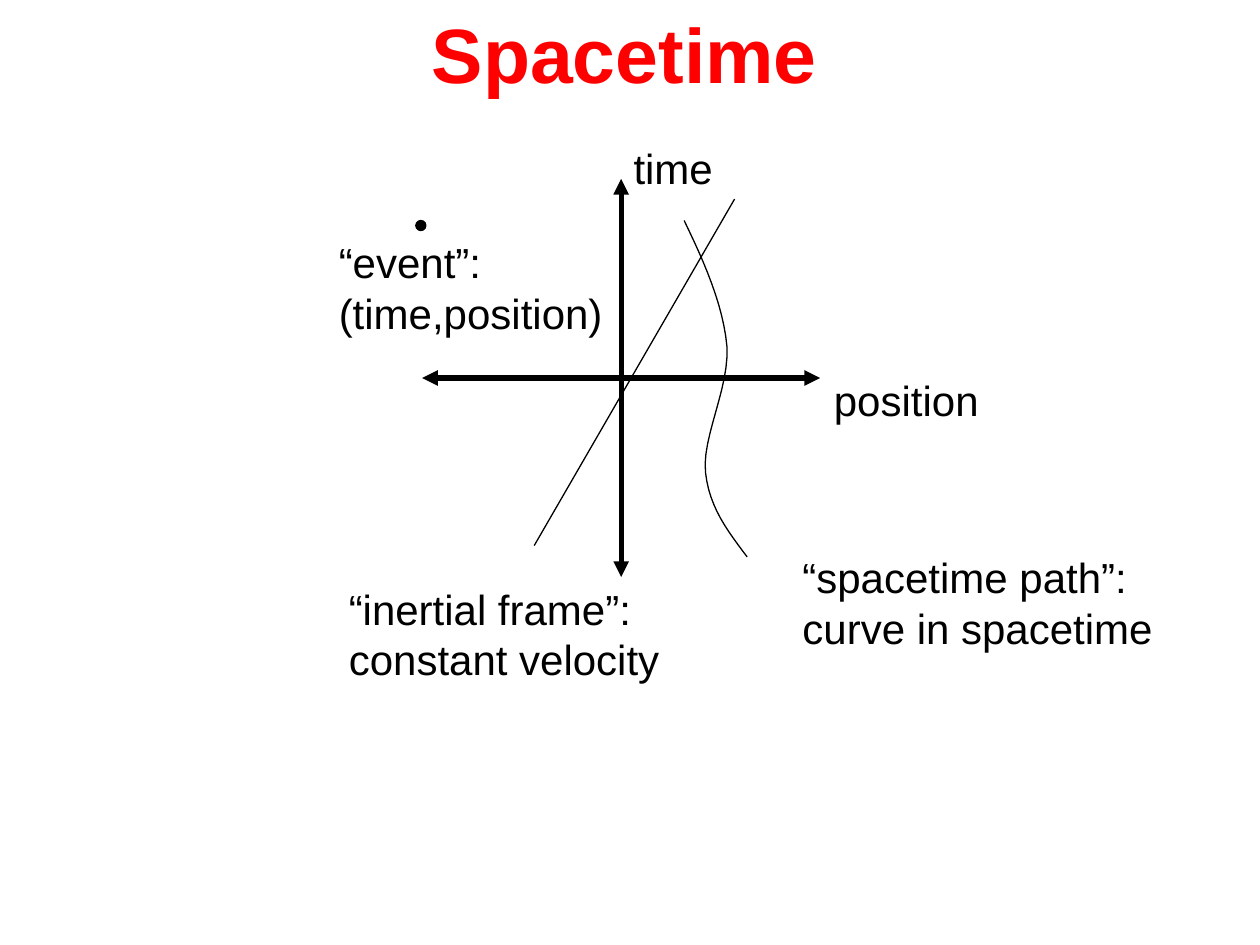
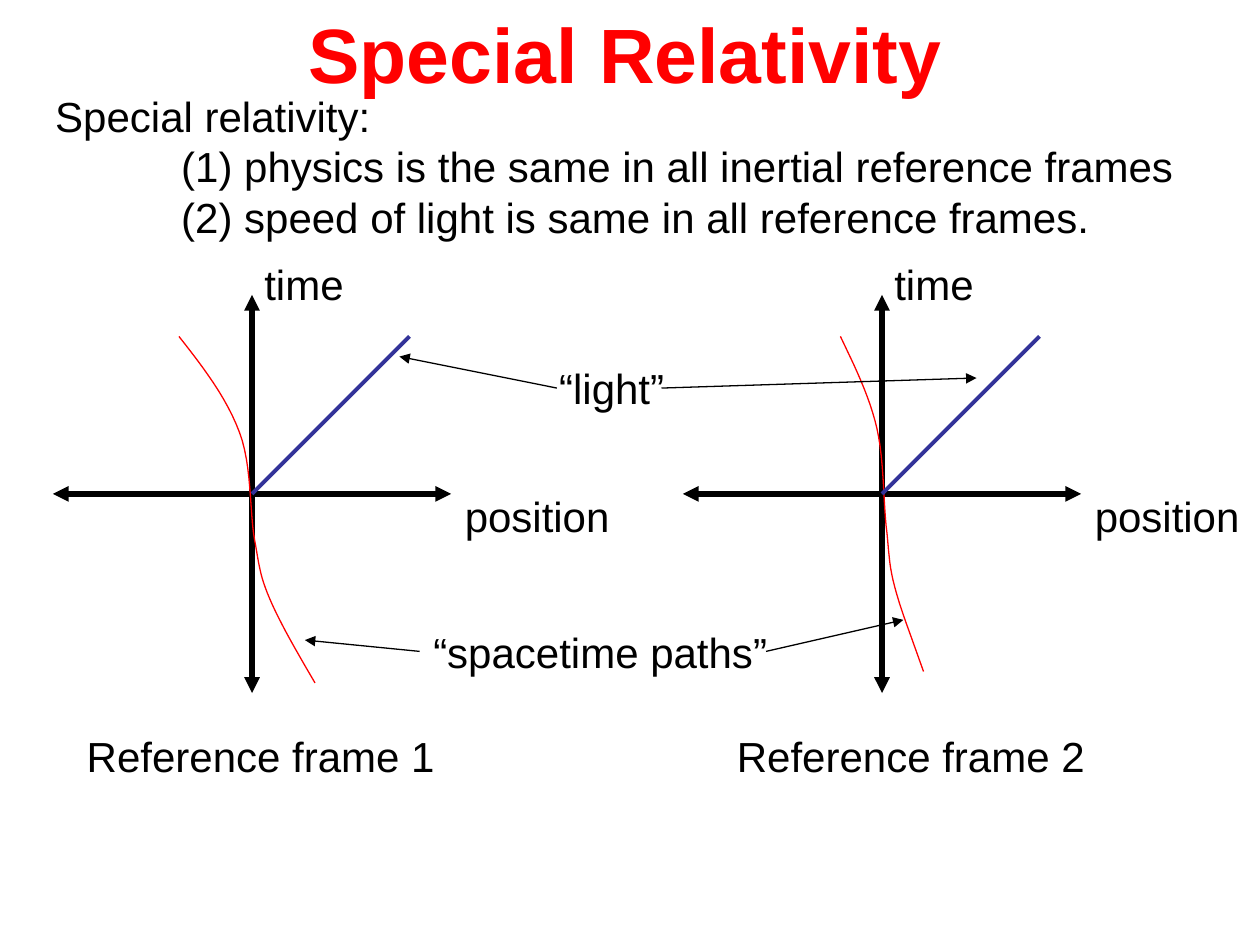
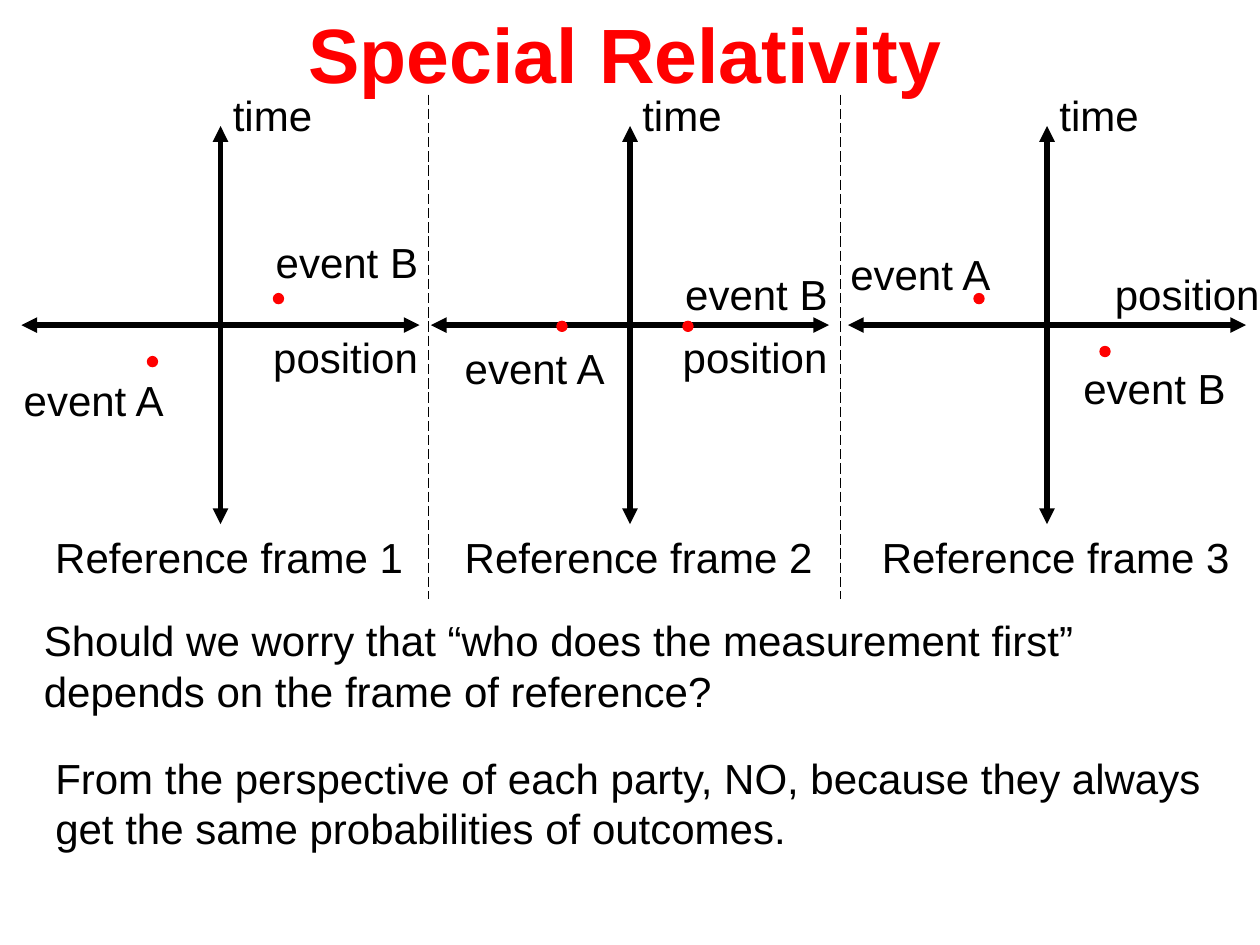
from lxml.etree import SubElement
from pptx import Presentation
from pptx.dml.color import RGBColor
from pptx.enum.dml import MSO_LINE
from pptx.enum.shapes import MSO_CONNECTOR, MSO_SHAPE
from pptx.enum.text import MSO_AUTO_SIZE
from pptx.oxml.ns import qn
from pptx.util import Inches, Pt

HUES = {"ink": "000000", "red": "FF0000", "light": "333399"}
FONT = "Arial"
ARM = 1.58
DOT = 0.08
STEPS = 12


def text(slide, words, x, y, width, size=24, hue="ink", bold=False, indent=0):
    """Add a text box; indent (inches) applies to every line but the first."""
    rows = words.split("\n")
    high = 0.1 + len(rows) * size / 60
    box = slide.shapes.add_textbox(Inches(x), Inches(y), Inches(width), Inches(high))
    frame = box.text_frame
    frame.word_wrap = False
    frame.auto_size = MSO_AUTO_SIZE.SHAPE_TO_FIT_TEXT
    for i, row in enumerate(rows):
        para = frame.add_paragraph() if i else frame.paragraphs[0]
        if i and indent:
            para._p.get_or_add_pPr().set("marL", str(Inches(indent)))
        run = para.add_run()
        run.text = row
        run.font.name = FONT
        run.font.size = Pt(size)
        run.font.bold = bold
        run.font.color.rgb = RGBColor.from_string(HUES[hue])


def line(slide, start, end, hue="ink", width=0.75, ends=(), dash=None):
    """Add a straight line; ends names the tips that carry an arrowhead."""
    link = slide.shapes.add_connector(
        MSO_CONNECTOR.STRAIGHT, *[Inches(n) for n in (*start, *end)])
    link.line.color.rgb = RGBColor.from_string(HUES[hue])
    link.line.width = Pt(width)
    if dash:
        link.line.dash_style = dash
    props = link.element.spPr
    for tip in ends:
        SubElement(props.find(qn("a:ln")), qn("a:" + tip), type="triangle")
    SubElement(props, qn("a:effectLst"))


deck = Presentation()
deck.slide_width = Inches(10)
deck.slide_height = Inches(7.5)

# Titles
slides = []
for title, x, width in [("Spacetime", 3.33, 3.26),
                        ("Special Relativity", 2.35, 5.23),
                        ("Special Relativity", 2.35, 5.23)]:
    slide = deck.slides.add_slide(deck.slide_layouts[6])
    text(slide, title, x, 0, width, size=44, hue="red", bold=True)
    slides.append(slide)
space, light, order = slides

# Axes: slide, centre, offset of the position label
for slide, x, y, dx, dy in [
    (space, 4.93, 3, 1.59, -0.08),
    (light, 2, 3.92, 1.59, -0.08),
    (light, 7, 3.92, 1.59, -0.08),
    (order, 1.75, 2.58, 0.32, 0),
    (order, 5, 2.58, 0.32, 0),
    (order, 8.31, 2.58, 0.44, -0.5),
]:
    for a, b in [(ARM, 0), (0, ARM)]:
        line(slide, (x - a, y - b), (x + a, y + b), width=3,
             ends=("headEnd", "tailEnd"))
    text(slide, "position", x + dx, y + dy, 1.35)
    text(slide, "time", x, y - 1.92, 0.83)

# Curves: slide, colour, start point, then Bezier segments
for slide, hue, start, parts in [
    (space, "ink", (5.93, 4.42), [
        ((5.78, 4.22), (5.63, 4.03), (5.6, 3.75)),
        ((5.57, 3.47), (5.79, 3.08), (5.77, 2.75)),
        ((5.74, 2.42), (5.59, 2.08), (5.43, 1.75))]),
    (light, "red", (2.5, 5.42), [
        ((2.36, 5.18), (2.22, 4.94), (2.14, 4.75)),
        ((2.06, 4.56), (2.06, 4.5), (2.02, 4.28)),
        ((1.98, 4.06), (2, 3.69), (1.9, 3.43)),
        ((1.8, 3.16), (1.61, 2.91), (1.42, 2.67))]),
    (light, "red", (7.33, 5.33), [
        ((7.25, 5.1), (7.16, 4.87), (7.11, 4.69)),
        ((7.06, 4.51), (7.06, 4.44), (7.04, 4.23)),
        ((7.01, 4.02), (7.02, 3.66), (6.96, 3.4)),
        ((6.9, 3.14), (6.78, 2.9), (6.67, 2.67))]),
]:
    dots, last = [], start
    for c1, c2, end in parts:
        for step in range(1, STEPS + 1):
            t = step / STEPS
            u = 1 - t
            dots.append([
                Inches(u**3 * p + 3 * u * u * t * q + 3 * u * t * t * r + t**3 * s)
                for p, q, r, s in zip(last, c1, c2, end)])
        last = end
    pen = slide.shapes.build_freeform(Inches(start[0]), Inches(start[1]))
    pen.add_line_segments(dots, close=False)
    curve = pen.convert_to_shape()
    curve.shadow.inherit = False
    curve.fill.background()
    curve.line.color.rgb = RGBColor.from_string(HUES[hue])
    curve.line.width = Pt(0.75)

# Event dots
for slide, hue, x, y in [
    (space, "ink", 3.3, 1.75),
    (order, "red", 1.17, 2.83), (order, "red", 2.17, 2.33),
    (order, "red", 4.42, 2.55), (order, "red", 5.42, 2.55),
    (order, "red", 7.73, 2.33), (order, "red", 8.73, 2.75),
]:
    dot = slide.shapes.add_shape(
        MSO_SHAPE.OVAL, Inches(x), Inches(y), Inches(DOT), Inches(DOT))
    dot.shadow.inherit = False
    dot.fill.solid()
    dot.fill.fore_color.rgb = RGBColor.from_string(HUES[hue])
    dot.line.color.rgb = RGBColor.from_string(HUES[hue])
    dot.line.width = Pt(0.75)

# Spacetime
line(space, (4.24, 4.33), (5.83, 1.58))
text(space, "“event”:\n(time,position)", 2.59, 1.83, 2.29)
text(space, "“spacetime path”:\ncurve in spacetime", 6.27, 4.33, 2.98)
text(space, "“inertial frame”:\nconstant velocity", 2.67, 4.58, 2.7)

# Light in two frames
text(light, "Special relativity:\n"
     "(1) physics is the same in all inertial reference frames\n"
     "(2) speed of light is same in all reference frames.",
     0.34, 0.67, 9.07, indent=1)
for x in (2, 7):
    line(light, (x, 3.92), (x + 1.25, 2.67), hue="light", width=2.25)
for i, x in enumerate((0.59, 5.75), 1):
    text(light, f"Reference frame {i}", x, 5.75, 2.96)
text(light, "“spacetime paths”", 3.34, 4.92, 2.85)
text(light, "“light”", 4.34, 2.83, 1.07)
for start, end in [((5.25, 3.08), (7.75, 3)), ((4.42, 3.08), (3.17, 2.83)),
                   ((6.08, 5.17), (7.17, 4.92)), ((3.33, 5.17), (2.42, 5.08))]:
    line(light, start, end, ends=("tailEnd",))

# Order of events in three frames
for i, (x, a, b) in enumerate([
    (0.34, (0.09, 2.92), (2.09, 1.83)),
    (3.59, (3.59, 2.67), (5.34, 2.08)),
    (6.9, (6.65, 1.92), (8.5, 2.83)),
], 1):
    text(order, f"Reference frame {i}", x, 4.17, 2.96)
    text(order, "event A", *a, 1.33)
    text(order, "event B", *b, 1.33)
for x in (3.4, 6.67):
    line(order, (x, 0.75), (x, 4.75), dash=MSO_LINE.LONG_DASH)
text(order, "Should we worry that “who does the measurement first”\n"
     "depends on the frame of reference?", 0.25, 4.83, 8.46)
text(order, "From the perspective of each party, NO, because they always\n"
     "get the same probabilities of outcomes.", 0.34, 5.92, 9.31)

deck.save("out.pptx")
